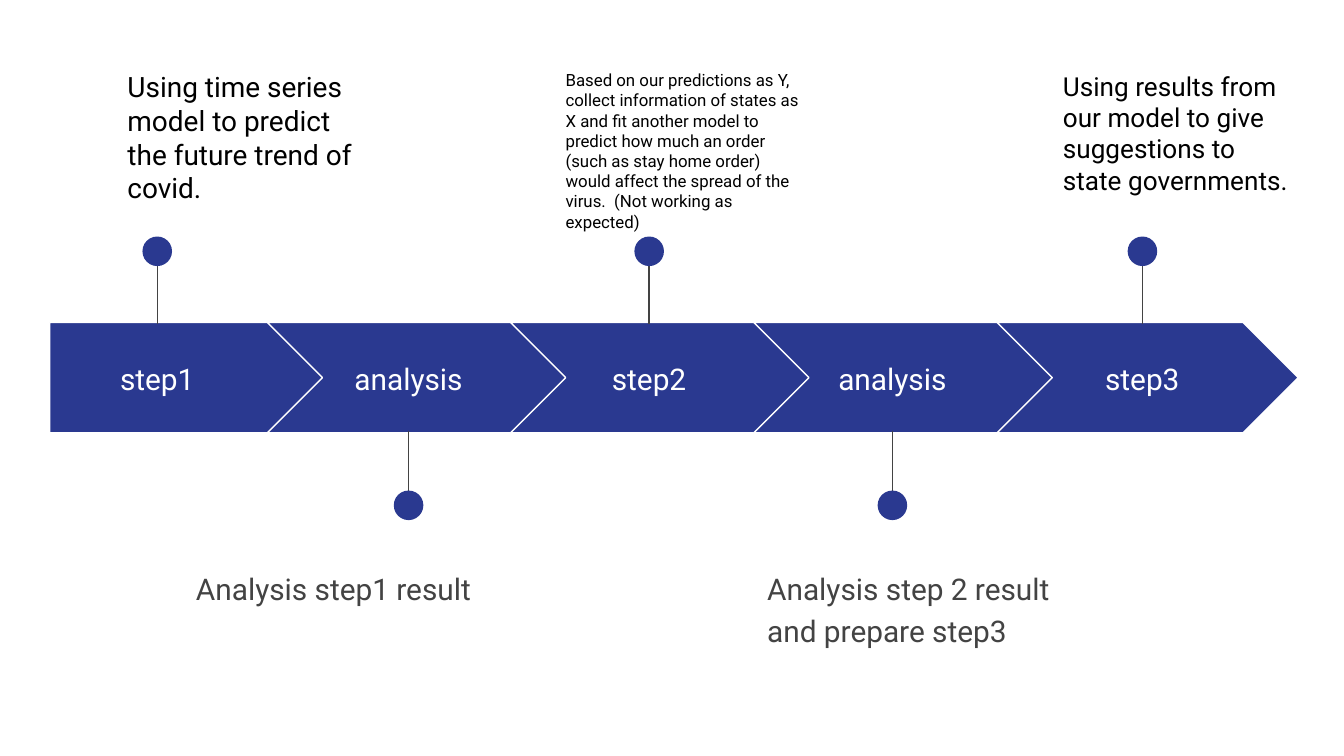
from dataclasses import dataclass

from pptx import Presentation
from pptx.dml.color import RGBColor
from pptx.enum.shapes import MSO_CONNECTOR as Connector, MSO_SHAPE as Shape
from pptx.enum.text import MSO_ANCHOR as Anchor, PP_ALIGN as Align
from pptx.oxml.ns import qn
from pptx.util import Inches, Pt


@dataclass(frozen=True)
class Theme:
    font: str = "Roboto"
    band: RGBColor = RGBColor(0x2A, 0x39, 0x90)
    white: RGBColor = RGBColor(0xFF, 0xFF, 0xFF)
    black: RGBColor = RGBColor(0, 0, 0)
    grey: RGBColor = RGBColor(0x43, 0x43, 0x43)
    label_size: int = 16
    result_size: int = 16
    first_size: int = 15
    detail_size: int = 9
    last_size: int = 14
    hairline: float = 0.75


@dataclass(frozen=True)
class Stage:
    label: str
    center: float
    note: str
    note_left: float
    note_size: int
    backed: bool = False


THEME = Theme()
STAGES = [
    Stage("step1", 1.17,
          "Using time series model to predict the future trend of covid.",
          0.35, THEME.first_size, backed=True),
    Stage("analysis", 3.04, "Analysis step1 result", 1.36, THEME.result_size),
    Stage("step2", 4.83,
          "Based on our predictions as Y, collect information of states as X "
          "and fit another model to predict how much an order (such as stay "
          "home order) would affect the spread of the virus.  (Not working as "
          "expected)", 3.61, THEME.detail_size),
    Stage("analysis", 6.64, "Analysis step 2 result and prepare step3",
          5.61, THEME.result_size),
    Stage("step3", 8.5,
          "Using results from our model to give suggestions to state governments.",
          7.31, THEME.last_size),
]
BAND_TOP, BAND_HEIGHT = 2.4, 0.82
CHEVRON_LEFT, CHEVRON_WIDTH, CHEVRON_STEP = 0.18, 2.24, 1.81
FIRST_LEFT, FIRST_WIDTH = 0.37, 2.05
LABEL_WIDTH, LABEL_HEIGHT = 1.44, 0.51
NOTE_WIDTH, NOTE_HEIGHT = 2.45, 0.99
DOT = 0.22


def fill_with(shape, color):
    shape.fill.solid()
    shape.fill.fore_color.rgb = color


def add_text(slide, text, left, top, width, height, size, color):
    box = slide.shapes.add_textbox(Inches(left), Inches(top), Inches(width), Inches(height))
    frame = box.text_frame
    frame.word_wrap = True
    frame.margin_left = frame.margin_right = Inches(0.1)
    frame.margin_top = frame.margin_bottom = Inches(0.1)
    run = frame.paragraphs[0].add_run()
    run.text = text
    run.font.name = THEME.font
    run.font.size = Pt(size)
    run.font.color.rgb = color
    return box


def add_arrow(slide, index):
    if index == 0:
        kind, left, width = Shape.PENTAGON, FIRST_LEFT, FIRST_WIDTH
    else:
        kind, width = Shape.CHEVRON, CHEVRON_WIDTH
        left = CHEVRON_LEFT + index * CHEVRON_STEP
    arrow = slide.shapes.add_shape(
        kind, Inches(left), Inches(BAND_TOP), Inches(width), Inches(BAND_HEIGHT))
    arrow.shadow.inherit = False
    arrow.adjustments[0] = 0.5
    fill_with(arrow, THEME.band)
    arrow.line.color.rgb = THEME.white
    arrow.line.width = Pt(THEME.hairline)


def add_label(slide, stage):
    label = add_text(
        slide, stage.label, stage.center - LABEL_WIDTH / 2, 2.56,
        LABEL_WIDTH, LABEL_HEIGHT, THEME.label_size, THEME.white)
    label.text_frame.vertical_anchor = Anchor.MIDDLE
    label.text_frame.paragraphs[0].alignment = Align.CENTER


def add_pin(slide, center, above):
    start, end, dot_top = (1.8, 2.41, 1.76) if above else (3.82, 3.21, 3.65)
    pin = slide.shapes.add_group_shape()
    stem = pin.shapes.add_connector(
        Connector.STRAIGHT, Inches(center), Inches(start), Inches(center), Inches(end))
    stem.line.color.rgb = THEME.grey
    stem.line.width = Pt(THEME.hairline)
    properties = stem._element.spPr
    properties.append(properties.makeelement(qn("a:effectLst"), {}))
    dot = pin.shapes.add_shape(
        Shape.OVAL, Inches(center - DOT / 2), Inches(dot_top), Inches(DOT), Inches(DOT))
    dot.shadow.inherit = False
    fill_with(dot, THEME.band)
    dot.line.fill.background()


def add_note(slide, stage, above):
    top, color = (0.42, THEME.black) if above else (4.11, THEME.grey)
    note = add_text(
        slide, stage.note, stage.note_left, top, NOTE_WIDTH, NOTE_HEIGHT,
        stage.note_size, color)
    if stage.backed:
        fill_with(note, THEME.white)
    paragraph = note.text_frame.paragraphs[0]
    if above:
        indent = paragraph._p.get_or_add_pPr()
        indent.set("marL", str(Inches(0.5)))
        indent.set("indent", "0")
    else:
        paragraph.line_spacing = 1.15
        paragraph.space_after = Pt(16)


def main():
    deck = Presentation()
    deck.slide_width = Inches(10)
    deck.slide_height = deck.slide_width * 9 // 16
    slide = deck.slides.add_slide(deck.slide_layouts[6])
    for index, stage in enumerate(STAGES):
        above = index % 2 == 0
        add_arrow(slide, index)
        add_label(slide, stage)
        add_pin(slide, stage.center, above)
        add_note(slide, stage, above)
    deck.save("out.pptx")


if __name__ == "__main__":
    main()
